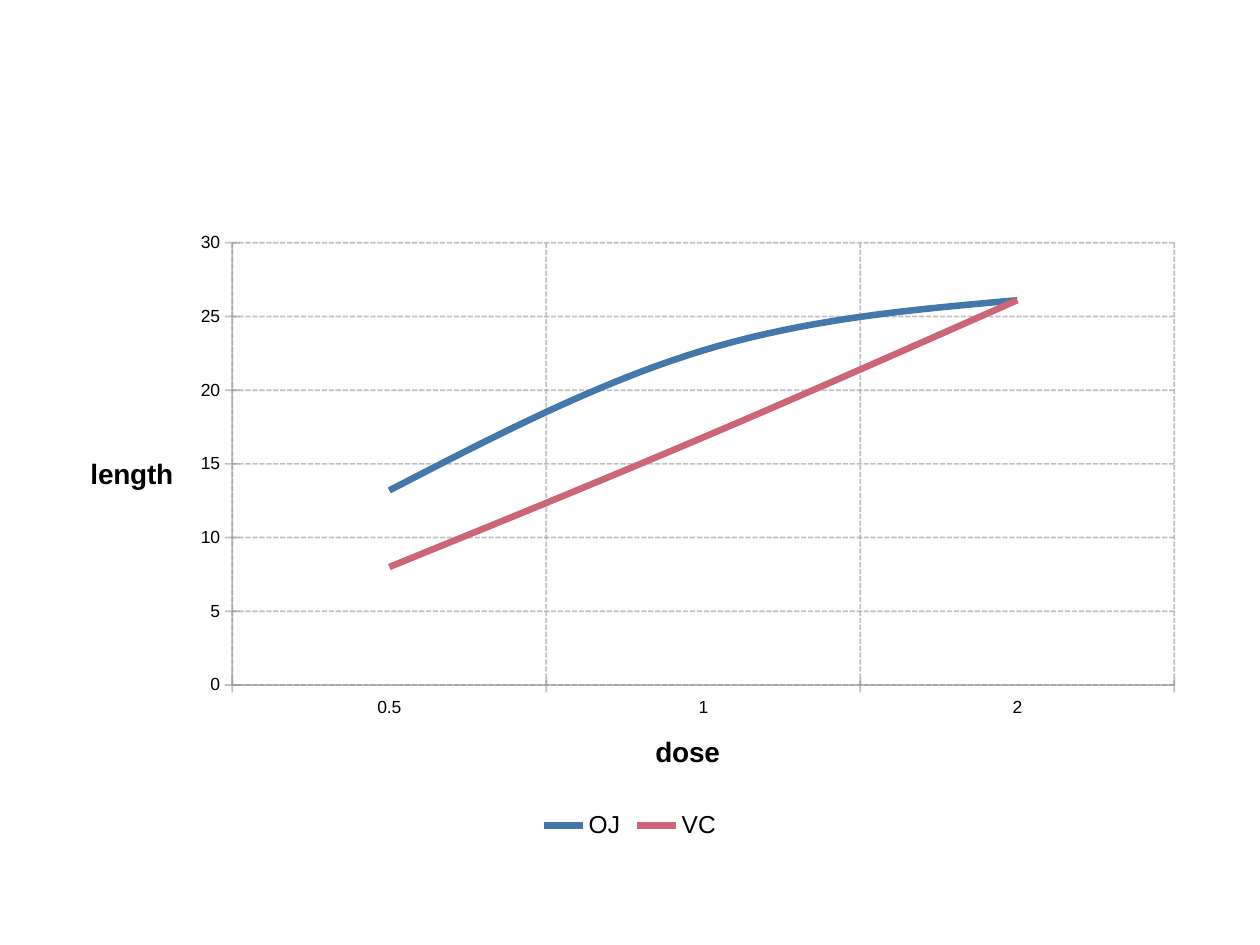
from lxml import etree
from pptx import Presentation
from pptx.chart.data import CategoryChartData
from pptx.dml.color import RGBColor
from pptx.enum.chart import XL_CHART_TYPE, XL_LEGEND_POSITION, XL_TICK_MARK
from pptx.enum.dml import MSO_LINE
from pptx.oxml.ns import qn
from pptx.util import Pt

LINE_CHART = XL_CHART_TYPE.LINE
LEGEND_BOTTOM = XL_LEGEND_POSITION.BOTTOM
TICK_CROSS = XL_TICK_MARK.CROSS
SOLID, DASHED = MSO_LINE.SOLID, MSO_LINE.SQUARE_DOT

BLACK = RGBColor(0x00, 0x00, 0x00)
GRAY = RGBColor(0x99, 0x99, 0x99)
BLUE = RGBColor(0x44, 0x77, 0xAA)
ROSE = RGBColor(0xCC, 0x66, 0x77)

DOSES = ["0.5", "1", "2"]
SUPPLEMENTS = [
    ("OJ", [13.2, 22.7, 26.1], BLUE),
    ("VC", [8, 16.8, 26.1], ROSE),
]
CHART_BOX = (Pt(36), Pt(126), Pt(648), Pt(356.4))


def style_font(font, size, name="Arial", bold=False):
    """Apply the black chart type style."""
    font.name = name
    font.size = Pt(size)
    font.bold = bold
    font.color.rgb = BLACK


def style_line(line, dash):
    """Make a thin gray line at 60 percent opacity."""
    line.width = Pt(1)
    line.color.rgb = GRAY
    line.dash_style = dash
    color = line.fill._xPr.find(".//" + qn("a:srgbClr"))
    etree.SubElement(color, qn("a:alpha")).set("val", "60000")


def style_axis(axis, title):
    """Format an axis with its title, ticks and gridlines."""
    text_frame = axis.axis_title.text_frame
    text_frame.text = title
    style_font(text_frame.paragraphs[0].runs[0].font, 16, bold=True)
    text_frame._txBody.bodyPr.set("rot", "0")
    text_frame._txBody.bodyPr.set("vert", "horz")
    axis.major_tick_mark = TICK_CROSS
    axis.has_major_gridlines = True
    style_font(axis.tick_labels.font, 10)
    style_line(axis.format.line, SOLID)
    style_line(axis.major_gridlines.format.line, DASHED)


def add_growth_chart(slide):
    """Add the chart of length by dose."""
    data = CategoryChartData()
    data.categories = DOSES
    for name, values, _ in SUPPLEMENTS:
        data.add_series(name, values)
    chart = slide.shapes.add_chart(LINE_CHART, *CHART_BOX, data).chart
    chart.has_title = False
    style_font(chart.font, 18, "Calibri")
    chart.plots[0].vary_by_categories = False
    for series, (_, _, color) in zip(chart.plots[0].series, SUPPLEMENTS):
        series.smooth = True
        series.format.line.color.rgb = color
        series.format.line.width = Pt(3.75)
    style_axis(chart.category_axis, "dose")
    style_axis(chart.value_axis, "length")
    chart.has_legend = True
    chart.legend.position = LEGEND_BOTTOM
    chart.legend.include_in_layout = False
    style_font(chart.legend.font, 14)


def main():
    """Build and save the slide."""
    presentation = Presentation()
    presentation.slide_width = Pt(720)
    presentation.slide_height = Pt(540)
    slide = presentation.slides.add_slide(presentation.slide_layouts.get_by_name("Blank"))
    add_growth_chart(slide)
    presentation.save("out.pptx")


if __name__ == "__main__":
    main()
